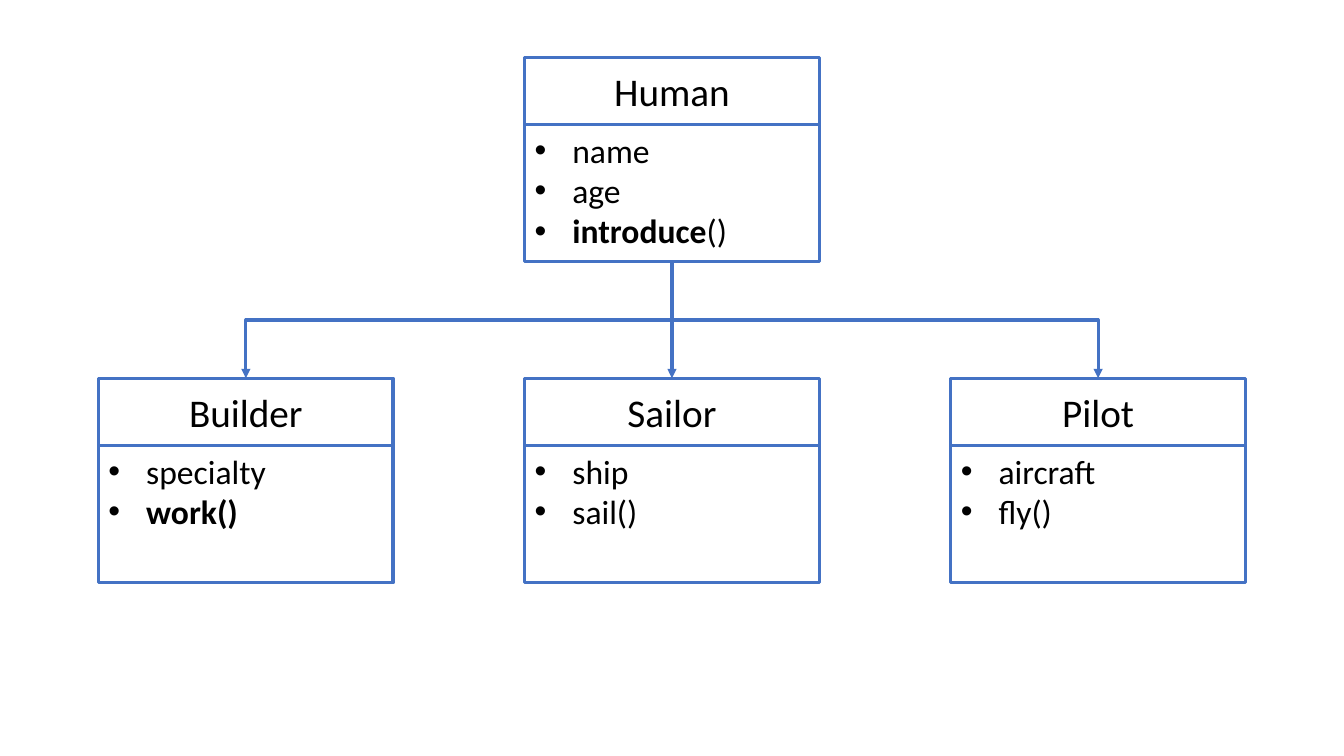
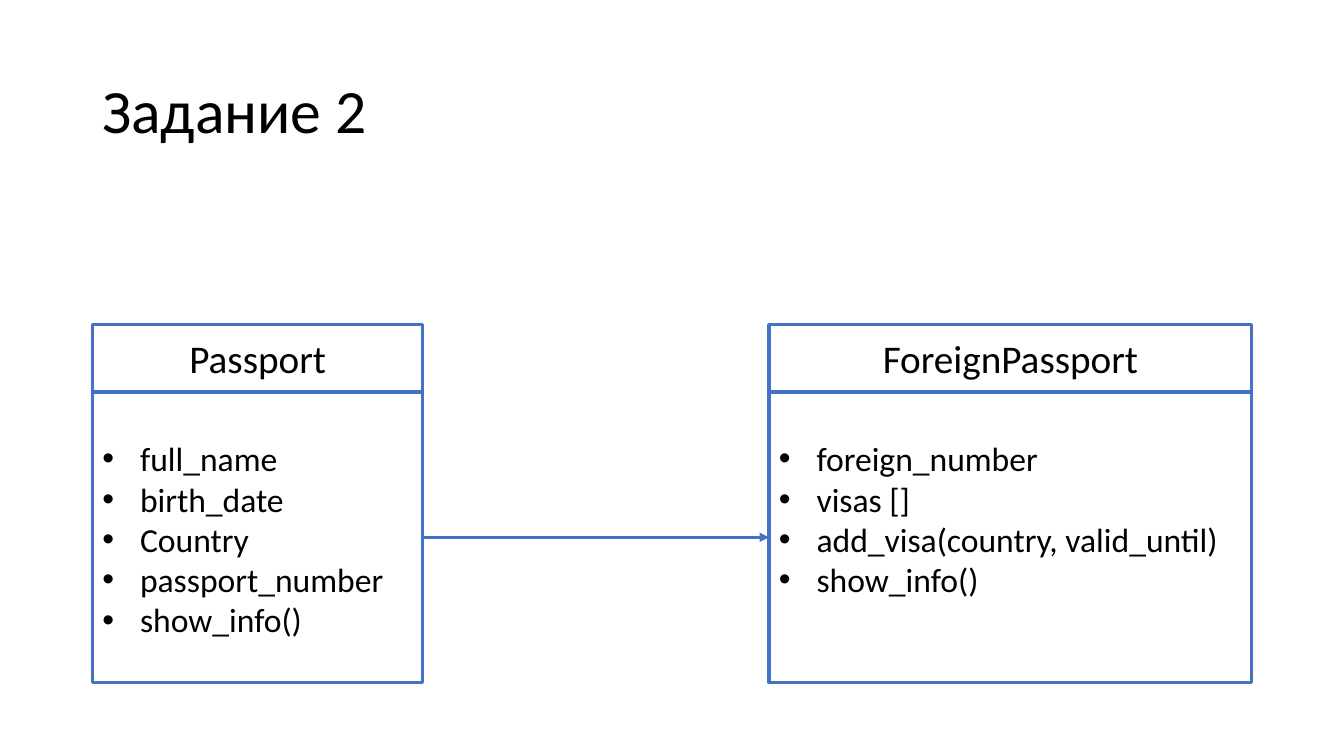
from lxml.etree import SubElement
from pptx import Presentation
from pptx.dml.color import RGBColor
from pptx.enum.shapes import MSO_CONNECTOR, MSO_SHAPE
from pptx.enum.text import MSO_ANCHOR, PP_ALIGN
from pptx.oxml.ns import qn
from pptx.util import Cm, Pt

FONT = "Calibri"
BLUE, BLACK, WHITE = "4472C4", "000000", "FFFFFF"
LINE_WIDTH = Pt(2.25)
HEADER_HEIGHT = 1.7
BULLET_INDENT = Cm(0.95)
PAGE_WIDTH, PAGE_HEIGHT = 33.87, 19.05


def colour(hex_code):
    return RGBColor.from_string(hex_code)


def style_text(para, size):
    para.font.name = FONT
    para.font.size = Pt(size)
    para.font.color.rgb = colour(BLACK)


def add_bullet(para):
    properties = para._p.get_or_add_pPr()
    properties.set("marL", str(BULLET_INDENT))
    properties.set("indent", str(-BULLET_INDENT))
    SubElement(properties, qn("a:buFont")).set("typeface", "Arial")
    SubElement(properties, qn("a:buChar")).set("char", "•")


def add_frame(page, left, top, width, height, anchor):
    box = page.shapes.add_shape(
        MSO_SHAPE.RECTANGLE, Cm(left), Cm(top), Cm(width), Cm(height))
    box.shadow.inherit = False
    box.fill.solid()
    box.fill.fore_color.rgb = colour(WHITE)
    box.line.color.rgb = colour(BLUE)
    box.line.width = LINE_WIDTH
    box.text_frame.word_wrap = True
    box.text_frame.vertical_anchor = anchor
    return box


def add_class(page, left, top, width, body_height, name, members, inset=0.13):
    """Draw a class box; each member is its bold part and its plain part."""
    body = add_frame(page, left, top + HEADER_HEIGHT, width, body_height, MSO_ANCHOR.TOP)
    frame = body.text_frame
    frame.margin_top = Cm(inset)
    for index, (bold_part, plain_part) in enumerate(members):
        para = frame.add_paragraph() if index else frame.paragraphs[0]
        para.alignment = PP_ALIGN.LEFT
        add_bullet(para)
        style_text(para, 24)
        for text, bold in ((bold_part, True), (plain_part, False)):
            if text:
                span = para.add_run()
                span.text = text
                span.font.bold = bold

    header = add_frame(page, left, top, width, HEADER_HEIGHT, MSO_ANCHOR.MIDDLE)
    para = header.text_frame.paragraphs[0]
    para.text = name
    para.alignment = PP_ALIGN.CENTER
    style_text(para, 28)
    return header, body


def add_arrow(page, kind, start, start_side, end, end_side):
    arrow = page.shapes.add_connector(kind, 0, 0, 0, 0)
    arrow.begin_connect(start, start_side)
    arrow.end_connect(end, end_side)
    arrow.line.color.rgb = colour(BLUE)
    arrow.line.width = LINE_WIDTH
    SubElement(arrow.line._get_or_add_ln(), qn("a:tailEnd")).set("type", "triangle")
    SubElement(arrow._element.spPr, qn("a:effectLst"))
    return arrow


def add_branch(page, parent, child):
    """Join parent to child with an elbow that leaves downwards."""
    arrow = add_arrow(page, MSO_CONNECTOR.ELBOW, parent, 2, child, 0)
    to_right = arrow.end_x > arrow.begin_x
    left, top, width, height = arrow.left, arrow.top, arrow.width, arrow.height
    arrow.left = left + (width - height) // 2
    arrow.top = top + (height - width) // 2
    arrow.width, arrow.height = height, width
    transform = arrow._element.spPr.find(qn("a:xfrm"))
    transform.set("rot", str((270 if to_right else 90) * 60000))
    transform.set("flipH", "1" if to_right else "0")
    transform.set("flipV", "0")


def add_title(page, text):
    box = page.shapes.add_textbox(Cm(2.33), Cm(1.01), Cm(29.21), Cm(3.68))
    box.text_frame.word_wrap = True
    box.text_frame.vertical_anchor = MSO_ANCHOR.MIDDLE
    para = box.text_frame.paragraphs[0]
    para.text = text
    para.line_spacing = 0.9
    style_text(para, 44)


def build_human_page(page):
    width, body_height, pitch = 7.42, 3.46, 10.74
    middle = (PAGE_WIDTH - width) / 2
    human = add_class(page, middle, 1.44, width, body_height, "Human",
                      [("", "name"), ("", "age"), ("introduce", "()")])[1]
    children = [
        ("Builder", [("", "specialty"), ("work()", "")]),
        ("Sailor", [("", "ship"), ("", "sail()")]),
        ("Pilot", [("", "aircraft"), ("", "fly()")]),
    ]
    builder, sailor, pilot = [
        add_class(page, middle + (column - 1) * pitch, 9.53, width, body_height,
                  name, members)[0]
        for column, (name, members) in enumerate(children)]
    add_arrow(page, MSO_CONNECTOR.STRAIGHT, human, 2, sailor, 0)
    for child in (builder, pilot):
        add_branch(page, human, child)


def build_passport_page(page):
    add_title(page, "Задание 2")
    classes = [
        (2.33, 8.33, "Passport",
         ["full_name", "birth_date", "Country", "passport_number", "show_info()"]),
        (19.38, 12.17, "ForeignPassport",
         ["foreign_number", "visas []", "add_visa(country, valid_until)", "show_info()"]),
    ]
    passport, foreign_passport = [
        add_class(page, left, 8.18, width, 7.32, name,
                  [("", member) for member in members], inset=1.16)[1]
        for left, width, name, members in classes]
    add_arrow(page, MSO_CONNECTOR.STRAIGHT, passport, 3, foreign_passport, 1)


def main():
    deck = Presentation()
    deck.slide_width, deck.slide_height = Cm(PAGE_WIDTH), Cm(PAGE_HEIGHT)
    for build in (build_human_page, build_passport_page):
        build(deck.slides.add_slide(deck.slide_layouts[6]))
    deck.save("out.pptx")


if __name__ == "__main__":
    main()
